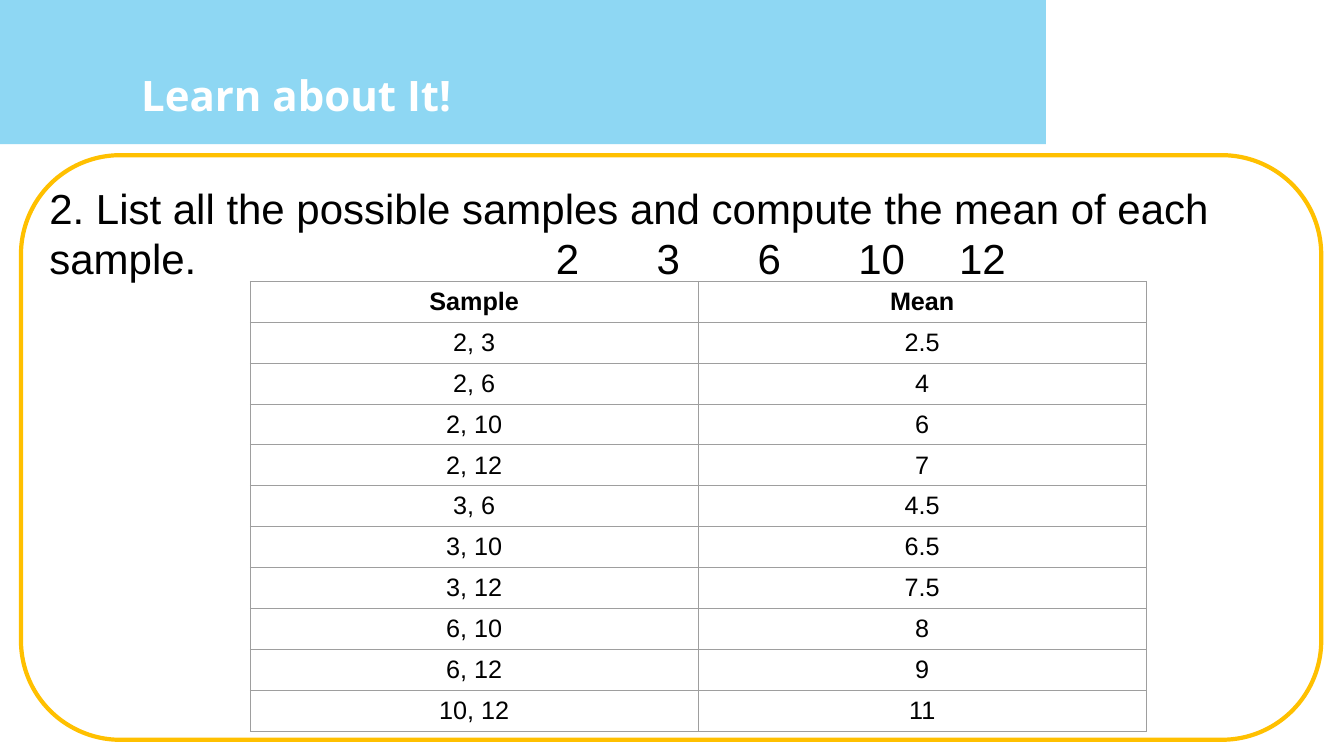
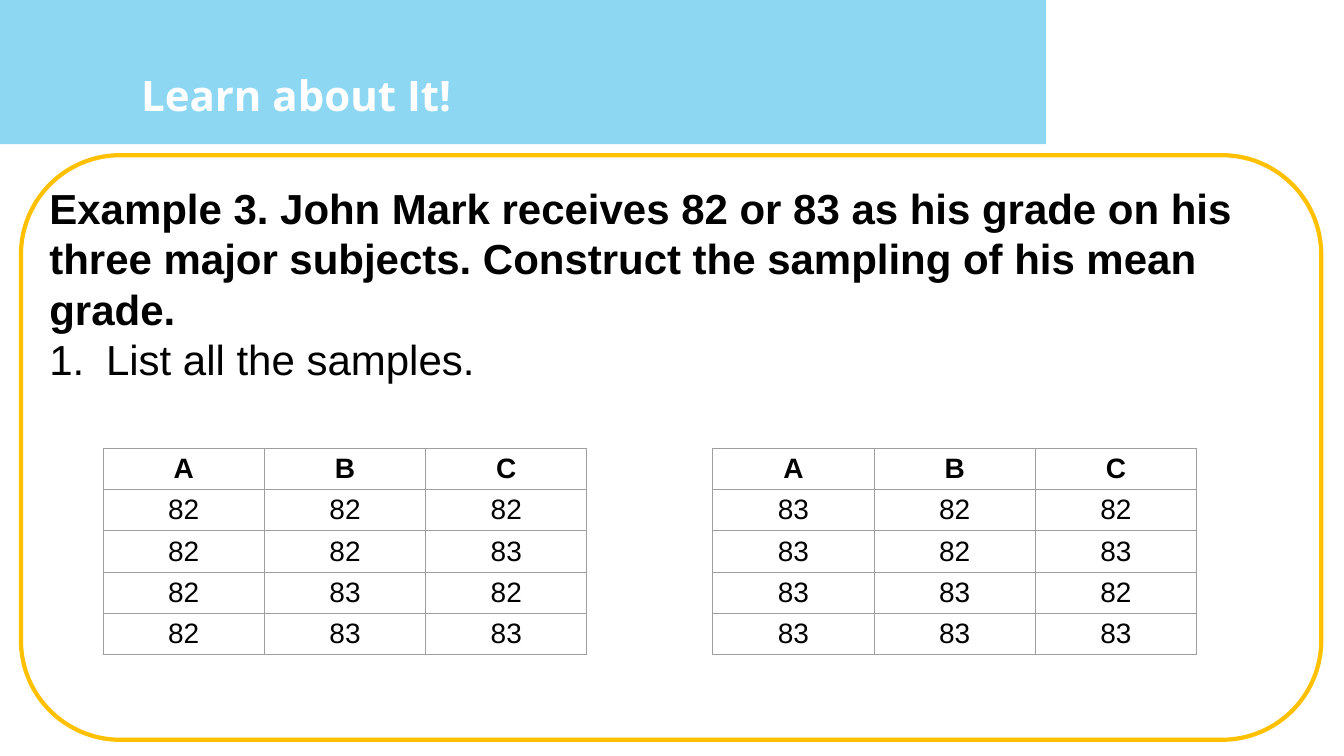
import dataclasses
import itertools
import typing

import pptx
import pptx.dml.color
import pptx.enum.shapes
import pptx.enum.text
import pptx.oxml
import pptx.oxml.ns
import pptx.util

COLS, ROWS = 128, 72  # grid of square units over the slide
UNIT = pptx.util.Inches(7.5) / ROWS
HUES = {"sky": "8ED7F3", "gold": "FFC000", "white": "FFFFFF",
        "black": "000000", "grey": "9E9E9E"}
KIND = pptx.enum.shapes.MSO_SHAPE
ALIGN = pptx.enum.text.PP_ALIGN
ANCHOR = pptx.enum.text.MSO_ANCHOR
NS = pptx.oxml.ns.nsdecls("a")


@dataclasses.dataclass(frozen=True)
class Box:
    """Place and size in grid units."""
    x: float
    y: float
    w: float
    h: float

    def emu(self) -> list[int]:
        return [span(v) for v in dataclasses.astuple(self)]


@dataclasses.dataclass(frozen=True)
class Para:
    text: str
    bold: bool = False
    mark: bool = False


@dataclasses.dataclass(frozen=True)
class Label:
    box: Box
    text: str


@dataclasses.dataclass(frozen=True)
class Grid:
    box: Box
    size: float
    cells: list[list[str]]


BAND = Box(0, 0, COLS, 13.73)
TITLE = Box(12.48, 5.66, 54.43, 9.12)
FRAME = Box(2, 14.78, 123.84, 55.68)
BODY = Box(3.74, 16.42, 122.1, 54.05)
PATCH = Box(99.74, 0, 28.26, 14.02)
HANG = 5.4
LINE = 4.79  # height of one body line


def span(units: float) -> int:
    return round(units * UNIT)


def tint(hue: str) -> pptx.dml.color.RGBColor:
    return pptx.dml.color.RGBColor.from_string(HUES[hue])


def node(xml: str) -> typing.Any:
    return pptx.oxml.parse_xml(xml)


def write(para, text: str, *, size: float = 30, font: str = "Arial",
          hue: str = "black", bold: bool = False, align=ALIGN.LEFT) -> None:
    para.alignment = align
    run = para.add_run()
    run.text = text
    run.font.size = pptx.util.Pt(size)
    run.font.name = font
    run.font.bold = bold
    run.font.color.rgb = tint(hue)


def shape(slide, kind, box: Box, fill: str = "", line: str = "",
          width: float = 0):
    item = slide.shapes.add_shape(kind, *box.emu())
    item.shadow.inherit = False
    if fill:
        item.fill.solid()
        item.fill.fore_color.rgb = tint(fill)
    else:
        item.fill.background()
    if line:
        item.line.color.rgb = tint(line)
        item.line.width = pptx.util.Pt(width)
    else:
        item.line.fill.background()
    return item


def place(holder, box: Box):
    holder.left, holder.top, holder.width, holder.height = box.emu()
    frame = holder.text_frame
    frame.word_wrap = True
    frame.auto_size = pptx.enum.text.MSO_AUTO_SIZE.NONE
    frame.vertical_anchor = ANCHOR.TOP
    pad = pptx.util.Inches(0.1)
    frame.margin_left = frame.margin_right = pad
    frame.margin_top = frame.margin_bottom = pad
    return frame


def style(para, item: Para) -> None:
    """Set spacing, then the number or its absence."""
    para.line_spacing = 1.0
    para.space_before = para.space_after = pptx.util.Pt(0)
    props = para._p.get_or_add_pPr()
    hang = span(HANG) if item.mark else 0
    props.set("marL", str(hang))
    props.set("indent", str(-hang))
    if item.mark:
        props.append(node(f'<a:buClr {NS}><a:srgbClr val="{HUES["black"]}"/></a:buClr>'))
        props.append(node(f'<a:buFont {NS} typeface="Arial"/>'))
        props.append(node(f'<a:buAutoNum {NS} type="arabicPeriod"/>'))
    else:
        props.append(node(f"<a:buNone {NS}/>"))


def table(slide, grid: Grid) -> None:
    rows, cols = len(grid.cells), len(grid.cells[0])
    tab = slide.shapes.add_table(rows, cols, *grid.box.emu()).table
    tab.first_row = tab.horz_banding = False
    for row in tab.rows:
        row.height = span(grid.box.h / rows)
    for r, c in itertools.product(range(rows), range(cols)):
        cell = tab.cell(r, c)
        cell.vertical_anchor = ANCHOR.MIDDLE
        cell.margin_top = cell.margin_bottom = pptx.util.Inches(0.04)
        props = cell._tc.get_or_add_tcPr()
        for side in "LRTB":
            props.append(node(
                f'<a:ln{side} {NS} w="{pptx.util.Pt(0.75)}"><a:solidFill>'
                f'<a:srgbClr val="{HUES["grey"]}"/></a:solidFill></a:ln{side}>'))
        cell.fill.background()
        write(cell.text_frame.paragraphs[0], grid.cells[r][c],
              size=grid.size, bold=r == 0, align=ALIGN.CENTER)


def page(deck, paras: list[Para], grids: list[Grid],
         labels: typing.Sequence[Label] = ()) -> None:
    slide = deck.slides.add_slide(deck.slide_layouts[1])
    title, body = slide.shapes.title, slide.placeholders[1]

    # Band and title
    band = shape(slide, KIND.RECTANGLE, BAND, fill="sky")
    title.element.addprevious(band.element)
    write(place(title, TITLE).paragraphs[0], "Learn about It!",
          font="Open Sans", hue="white", bold=True)

    # Framed body
    rim = shape(slide, KIND.ROUNDED_RECTANGLE, FRAME, line="gold", width=3)
    rim.adjustments[0] = 0.17
    body.element.addprevious(rim.element)
    frame = place(body, BODY)
    for i, item in enumerate(paras):
        para = frame.add_paragraph() if i else frame.paragraphs[0]
        write(para, item.text, bold=item.bold)
        style(para, item)
    for label in labels:
        text = slide.shapes.add_textbox(*label.box.emu())
        write(place(text, label.box).paragraphs[0], label.text)

    # White corner and tables
    shape(slide, KIND.RECTANGLE, PATCH, fill="white", line="white", width=2)
    for grid in grids:
        table(slide, grid)


def main() -> None:
    deck = pptx.Presentation()
    deck.slide_width, deck.slide_height = span(COLS), span(ROWS)

    # Samples of two and their means, the pool on the second body line
    pool = (2, 3, 6, 10, 12)
    means = [["Sample", "Mean"]]
    means += [[f"{a}, {b}", f"{(a + b) / 2:g}"]
              for a, b in itertools.combinations(pool, 2)]
    labels = [Label(Box(52 + 9.6 * i, BODY.y + LINE, 8, 6.5), str(n))
              for i, n in enumerate(pool)]
    ask = "2. List all the possible samples and compute the mean of each sample."
    page(deck, [Para(ask)],
         [Grid(Box(23.83, 26.8, 85.34, 42.85), 18, means)], labels)

    # Grades in three subjects, one table for each first grade
    marks = ("82", "83")
    grids = []
    for i, first in enumerate(marks):
        cells = [list("ABC")]
        cells += [[first, *rest] for rest in itertools.product(marks, repeat=2)]
        grids.append(Grid(Box(9.82 + 58.06 * i, 42.7, 46.08, 19.65), 20, cells))
    page(deck, [
        Para("Example 3. John Mark receives 82 or 83 as his grade on his three "
             "major subjects. Construct the sampling of his mean grade.", bold=True),
        Para("List all the samples.", mark=True),
    ], grids)

    deck.save("out.pptx")


if __name__ == "__main__":
    main()
